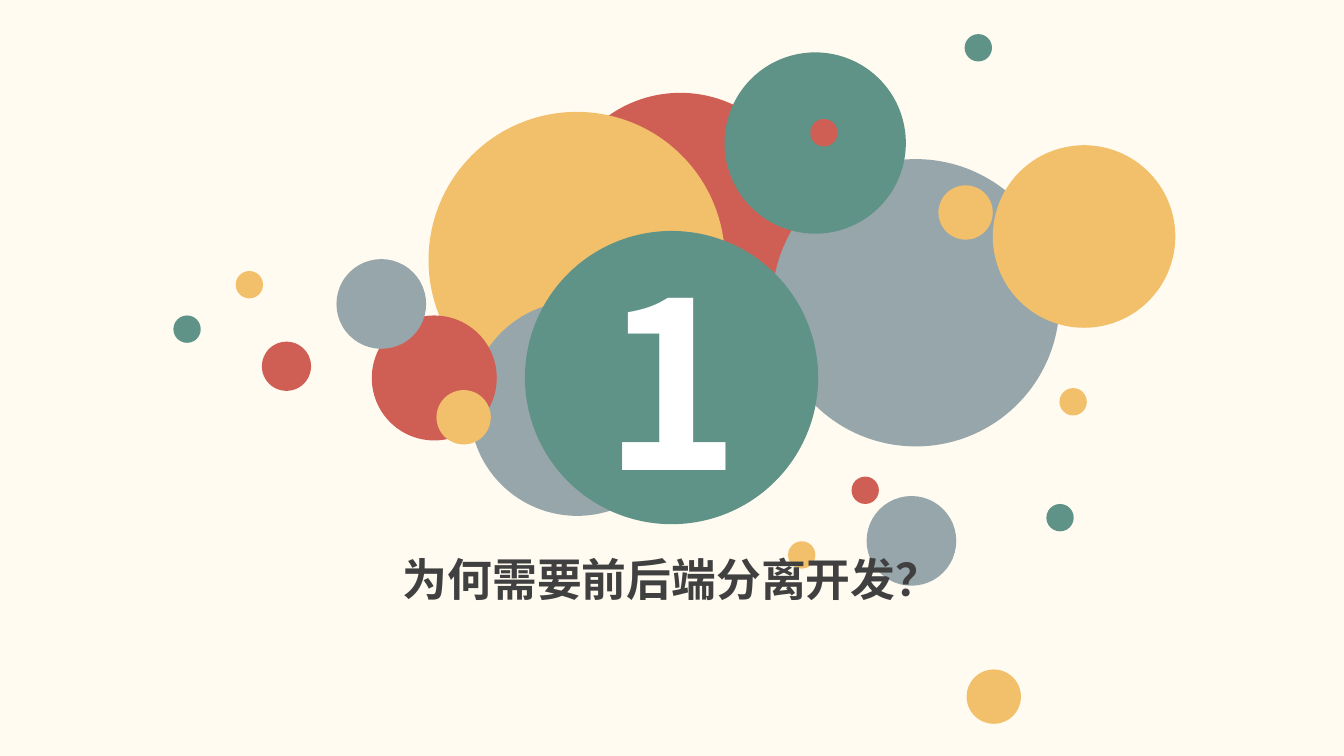
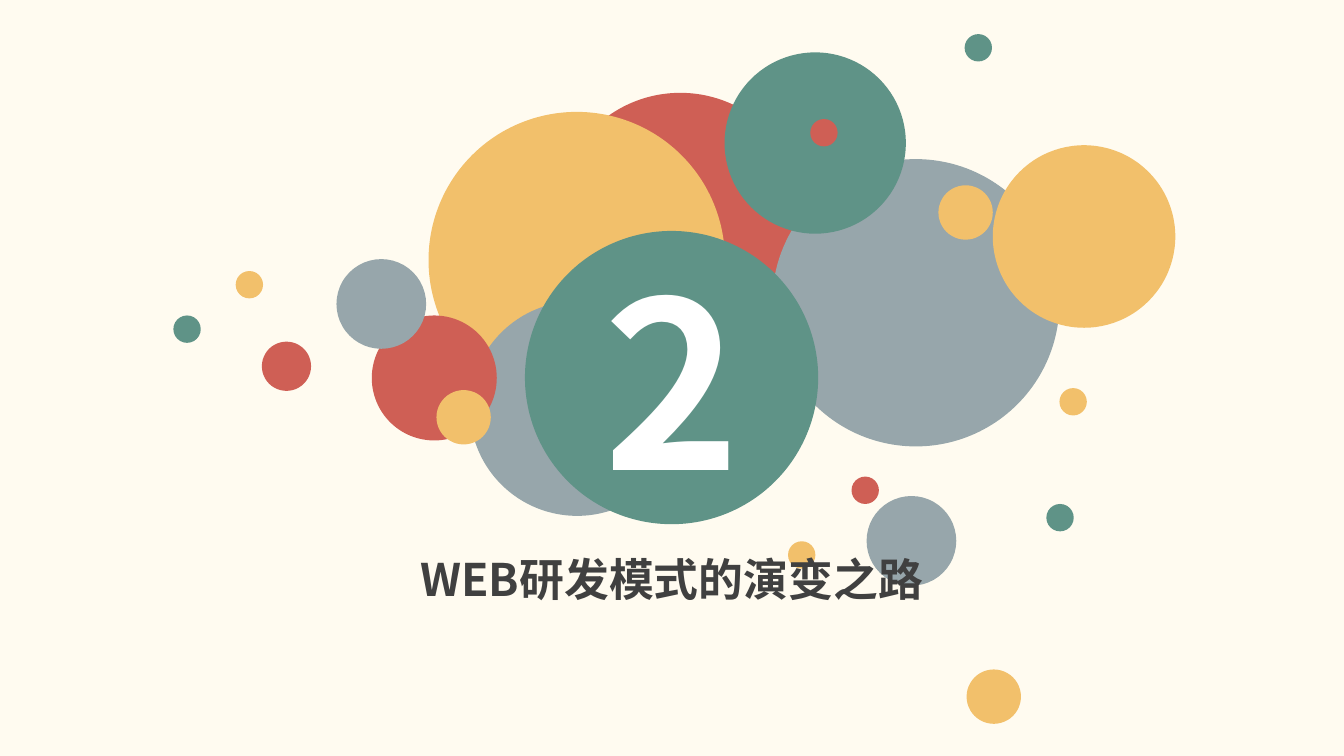
import pptx
import pptx.dml.color
import pptx.enum.shapes
import pptx.enum.text
import pptx.oxml.ns
import pptx.util
from lxml import etree
from pptx.util import Cm

# Shared style
FONT = "Noto Sans CJK SC"
CREAM, WHITE, CHARCOAL = "FFFBF0", "FFFFFF", "404040"
RED, YELLOW, GREY, GREEN = "CF5F55", "F2C06B", "97A6AB", "5F9387"

# Recurring bubble diameters, in centimetres
DOT, SMALL, MEDIUM = 0.69, 1.37, 2.26

# Bubbles from back to front: left, top, diameter, colour
BUBBLES = [
    (14.02, 2.34, 6.25, RED),
    (10.80, 2.82, 7.47, YELLOW),
    (11.84, 7.59, 5.41, GREY),
    (19.46, 4.01, 7.24, GREY),
    (18.26, 1.32, 4.57, GREEN),
    (9.37, 7.95, 3.15, RED),
    (21.84, 12.50, MEDIUM, GREY),
    (21.46, 12.01, DOT, RED),
    (19.86, 13.64, DOT, YELLOW),
    (26.37, 12.70, DOT, GREEN),
    (24.36, 16.87, SMALL, YELLOW),
    (25.02, 3.66, 4.60, YELLOW),
    (8.48, 6.53, MEDIUM, GREY),
    (6.60, 8.61, 1.24, RED),
    (5.94, 6.83, DOT, YELLOW),
    (4.37, 7.95, DOT, GREEN),
    (11.00, 9.83, SMALL, YELLOW),
    (20.42, 3.00, DOT, RED),
    (26.70, 9.78, DOT, YELLOW),
    (24.31, 0.86, DOT, GREEN),
    (23.65, 4.67, SMALL, YELLOW),
]
BADGE = (13.23, 5.82, 7.39, GREEN)

SECTIONS = [
    ("1", "为何需要前后端分离开发？"),
    ("2", "WEB研发模式的演变之路"),
]


def set_fill(fill, colour):
    fill.solid()
    fill.fore_color.rgb = pptx.dml.color.RGBColor.from_string(colour)


def write_text(shape, text, size, colour, anchor):
    """Write one bold, centred run into a shape."""
    frame = shape.text_frame
    frame.word_wrap = True
    frame.vertical_anchor = anchor
    paragraph = frame.paragraphs[0]
    paragraph.alignment = pptx.enum.text.PP_ALIGN.CENTER
    run = paragraph.add_run()
    run.text = text
    font = run.font
    font.size = pptx.util.Pt(size)
    font.bold = True
    font.name = FONT
    set_fill(font.fill, colour)
    # The East Asian typeface has no public setter
    properties = run._r.get_or_add_rPr()
    etree.SubElement(properties, pptx.oxml.ns.qn("a:ea"), typeface=FONT)


def add_bubble(slide, left, top, diameter, colour):
    shape = slide.shapes.add_shape(
        pptx.enum.shapes.MSO_SHAPE.OVAL,
        Cm(left), Cm(top), Cm(diameter), Cm(diameter))
    shape.shadow.inherit = False
    set_fill(shape.fill, colour)
    shape.line.fill.background()
    return shape


def place_title(slide, text):
    title = slide.shapes.title
    title.left, title.top = Cm(9.27), Cm(13.77)
    title.width, title.height = Cm(15.32), Cm(1.63)
    write_text(title, text, 32, CHARCOAL, pptx.enum.text.MSO_ANCHOR.TOP)
    title.text_frame.auto_size = pptx.enum.text.MSO_AUTO_SIZE.SHAPE_TO_FIT_TEXT
    # Bring the title in front of the bubbles
    slide.shapes.element.append(title.element)


def add_section_slide(presentation, number, text):
    slide = presentation.slides.add_slide(presentation.slide_layouts[5])
    for bubble in BUBBLES:
        add_bubble(slide, *bubble)
    badge = add_bubble(slide, *BADGE)
    write_text(badge, number, 166, WHITE, pptx.enum.text.MSO_ANCHOR.MIDDLE)
    place_title(slide, text)


def main():
    presentation = pptx.Presentation()
    presentation.slide_width, presentation.slide_height = Cm(33.87), Cm(19.05)
    set_fill(presentation.slide_master.background.fill, CREAM)
    for number, text in SECTIONS:
        add_section_slide(presentation, number, text)
    presentation.save("out.pptx")


if __name__ == "__main__":
    main()
